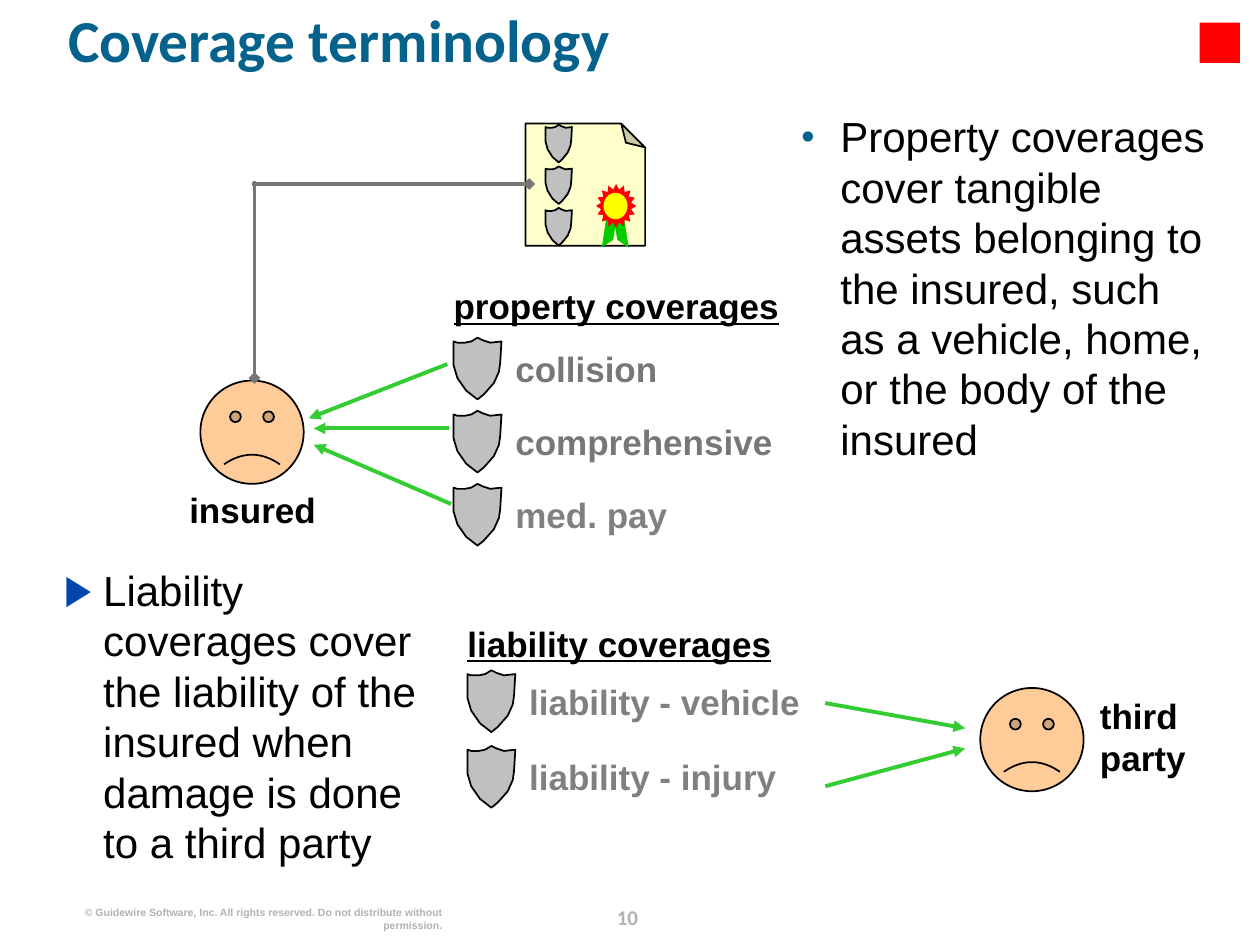
import pptx
import pptx.util
import pptx.dml.color
import pptx.enum.shapes
import pptx.enum.text
import pptx.oxml.ns
from lxml import etree

Inches = pptx.util.Inches
Pt = pptx.util.Pt
SHAPE = pptx.enum.shapes.MSO_SHAPE
ALIGN = pptx.enum.text.PP_ALIGN
qn = pptx.oxml.ns.qn

COLORS = {
    "title": "04628C", "bullet": "0146AD", "text": "000000", "label": "777777",
    "soft_label": "808080", "footer": "B2B2B2", "shield": "C0C0C0",
    "paper": "FFFFCC", "skin": "FFCC99", "ribbon": "00CC00", "seal": "FF0000",
    "seal_center": "FFFF00", "arrow": "33CC33", "link": "777777",
}
LABEL = {"name": "Arial", "size": Pt(20), "bold": True}
HEADING = {**LABEL, "underline": True}
BODY = {"name": "Arial", "size": Pt(24), "bold": False}
TITLE = {"name": "Calibri", "size": Pt(34), "bold": True}

# Shield outline in inches at full size
SHIELD = [(0.19, 0.49), (0.10, 0.42), (0.03, 0.32), (0, 0.22), (0, 0.11),
          (0, 0.03), (0.03, 0.04), (0.09, 0.04), (0.14, 0.03), (0.19, 0),
          (0.23, 0.02), (0.29, 0.04), (0.38, 0.03), (0.37, 0.20),
          (0.36, 0.27), (0.32, 0.36), (0.24, 0.45)]


def rgb(color):
    return pptx.dml.color.RGBColor.from_string(COLORS[color])


def write(box, text, formats, color="text", align=ALIGN.LEFT, spacing=None):
    frame = box.text_frame
    settings = {"word_wrap": True, "margin_left": 0, "margin_right": 0,
                "margin_top": 0, "margin_bottom": 0,
                "auto_size": pptx.enum.text.MSO_AUTO_SIZE.NONE,
                "vertical_anchor": pptx.enum.text.MSO_ANCHOR.TOP}
    for name, value in settings.items():
        setattr(frame, name, value)
    para = frame.paragraphs[0]
    para.text = text
    para.alignment = align
    para.space_before = Pt(0)
    para.line_spacing = spacing
    for span in para.runs:
        for name, value in formats.items():
            setattr(span.font, name, value)
        span.font.color.rgb = rgb(color)
    return para


def place(box, left, top, width, height):
    values = {"left": left, "top": top, "width": width, "height": height}
    for name, value in values.items():
        setattr(box, name, Inches(value))


def add_text(page, area, text, formats, **options):
    box = page.shapes.add_textbox(*map(Inches, area))
    return write(box, text, formats, **options)


def add_bullet(para, char, color, percent):
    props = para._p.get_or_add_pPr()
    props.set("marL", str(Inches(0.31)))
    props.set("indent", str(-Inches(0.31)))
    holder = etree.SubElement(props, qn("a:buClr"))
    etree.SubElement(holder, qn("a:srgbClr")).set("val", COLORS[color])
    etree.SubElement(props, qn("a:buSzPct")).set("val", str(percent * 1000))
    etree.SubElement(props, qn("a:buFont")).set("typeface", "Arial")
    etree.SubElement(props, qn("a:buChar")).set("char", char)


def paint(shape, fill, outlined):
    shape.shadow.inherit = False
    shape.fill.solid()
    shape.fill.fore_color.rgb = rgb(fill)
    if outlined:
        shape.line.color.rgb = rgb("text")
        shape.line.width = Pt(1)
    else:
        shape.line.fill.background()


def set_adjustment(shape, value):
    # Written as XML because some presets list no adjustments
    values = shape._element.spPr.find(qn("a:prstGeom")).find(qn("a:avLst"))
    for guide in list(values):
        values.remove(guide)
    guide = etree.SubElement(values, qn("a:gd"))
    guide.set("name", "adj")
    guide.set("fmla", f"val {round(value * 100000)}")


def add_preset(page, kind, area, fill, outlined=False, adjust=None,
               rotation=0, flipped=False):
    shape = page.shapes.add_shape(kind, *map(Inches, area))
    paint(shape, fill, outlined)
    shape.rotation = rotation
    if adjust is not None:
        set_adjustment(shape, adjust)
    if flipped:
        shape._element.spPr.find(qn("a:xfrm")).set("flipH", "1")


def add_shield(page, left, top, scale_x=1, scale_y=1):
    points = [(Inches(left + x * scale_x), Inches(top + y * scale_y))
              for x, y in SHIELD]
    builder = page.shapes.build_freeform(*points[0])
    builder.add_line_segments(points[1:], close=True)
    paint(builder.convert_to_shape(), "shield", True)


def add_line(page, ends, color, tail):
    line = page.shapes.add_connector(
        pptx.enum.shapes.MSO_CONNECTOR.STRAIGHT, *map(Inches, ends))
    line.line.color.rgb = rgb(color)
    line.line.width = Pt(2.25)
    outline = line._element.spPr.find(qn("a:ln"))
    etree.SubElement(outline, qn("a:tailEnd")).set("type", tail)
    etree.SubElement(line._element.spPr, qn("a:effectLst"))


def add_face(page, left, top):
    add_preset(page, SHAPE.SMILEY_FACE, (left, top, 0.82, 0.82), "skin",
               outlined=True, adjust=-0.05)


def add_policy(page):
    add_preset(page, SHAPE.FOLDED_CORNER, (4.16, 0.99, 0.97, 0.95), "paper",
               outlined=True, adjust=0.2, rotation=270)
    for row in range(3):
        add_shield(page, 4.33, 0.99 + row * 0.33, 0.55, 0.61)
    # Ribbon and seal
    add_preset(page, SHAPE.PARALLELOGRAM, (4.68, 1.77, 0.32, 0.08), "ribbon",
               adjust=0.88, rotation=278.9, flipped=True)
    add_preset(page, SHAPE.PARALLELOGRAM, (4.76, 1.77, 0.33, 0.08), "ribbon",
               adjust=0.98, rotation=81.1)
    add_preset(page, SHAPE.STAR_16_POINT, (4.73, 1.46, 0.32, 0.35), "seal",
               adjust=0.38)
    add_preset(page, SHAPE.OVAL, (4.79, 1.53, 0.19, 0.21), "seal_center")


def add_coverages(page, left, heading_top, heading, top, step, rows, arrows):
    add_text(page, (left, heading_top, 2.69, 0.33), heading, HEADING)
    for index, (name, color) in enumerate(rows):
        row_top = top + index * step
        add_shield(page, left, row_top)
        add_text(page, (left + 0.49, row_top + 0.08, 2.23, 0.33), name, LABEL,
                 color=color)
    for ends in arrows:
        add_line(page, ends, "arrow", "triangle")


def main():
    deck = pptx.Presentation()
    deck.slide_width, deck.slide_height = Inches(10), Inches(7.5)
    page = deck.slides.add_slide(deck.slide_layouts[1])

    # Title and property definition
    title, body = page.placeholders
    place(title, 0.54, 0.13, 8.66, 0.68)
    write(title, "Coverage terminology", TITLE, color="title", spacing=0.8)
    place(body, 6.36, 0.88, 3.25, 2.9)
    para = write(body, "Property coverages cover tangible assets belonging to "
                 "the insured, such as a vehicle, home, or the body of the "
                 "insured", BODY)
    add_bullet(para, "•", "title", 90)

    # Policy and people
    add_policy(page)
    add_face(page, 1.59, 3.02)
    add_text(page, (1.35, 3.88, 1.31, 0.33), "insured", LABEL,
             align=ALIGN.CENTER)
    add_face(page, 7.78, 5.46)
    add_text(page, (8.73, 5.51, 0.84, 0.67), "third\vparty", LABEL)

    # Coverage lists
    add_coverages(
        page, 3.6, 2.26, "property coverages", 2.68, 0.58,
        [("collision", "label"), ("comprehensive", "label"),
         ("med. pay", "soft_label")],
        [(3.55, 2.89, 2.45, 3.32), (3.56, 3.4, 2.49, 3.4),
         (3.58, 4, 2.49, 3.53)])
    add_coverages(
        page, 3.71, 4.94, "liability coverages", 5.32, 0.6,
        [("liability - vehicle", "soft_label"),
         ("liability - injury", "soft_label")],
        [(6.55, 5.58, 7.66, 5.78), (6.55, 6.24, 7.66, 5.94)])

    # Link from policy to insured
    add_line(page, (2.02, 1.44, 2.02, 3), "link", "diamond")
    add_line(page, (2, 1.46, 4.2, 1.46), "link", "diamond")

    # Liability definition
    para = add_text(page, (0.51, 4.48, 3, 2.45),
                    "Liability coverages cover the liability of the insured "
                    "when damage is done to a third party", BODY)
    add_bullet(para, "▶", "bullet", 100)

    # Corner marker and footer
    add_preset(page, SHAPE.RECTANGLE, (9.52, 0.18, 0.32, 0.32), "seal")
    add_text(page, (0.61, 7.19, 2.9, 0.22),
             "© Guidewire Software, Inc. All rights reserved. Do not "
             "distribute without permission.", {**LABEL, "size": Pt(6)},
             color="footer", align=ALIGN.RIGHT)
    add_text(page, (4.73, 7.13, 0.5, 0.25), "10", {**TITLE, "size": Pt(12)},
             color="footer", align=ALIGN.CENTER, spacing=Pt(18))

    deck.save("out.pptx")


if __name__ == "__main__":
    main()
